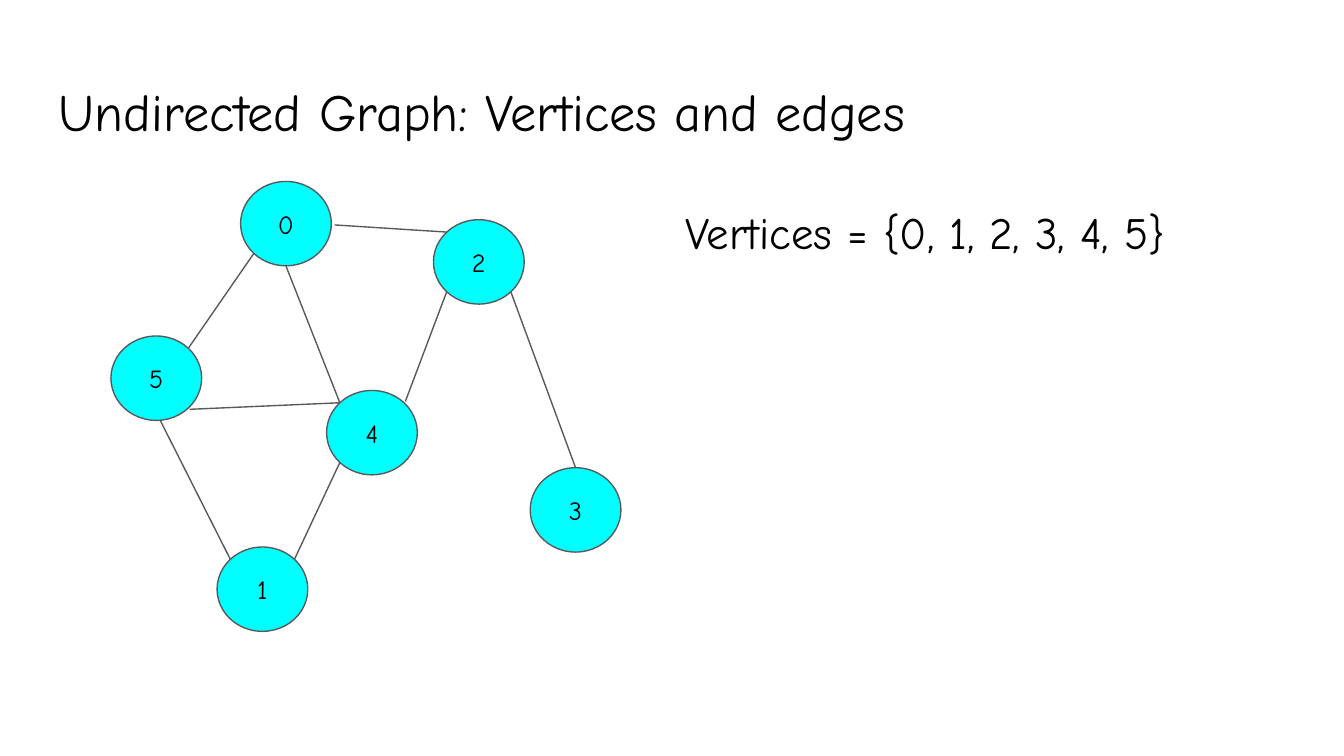
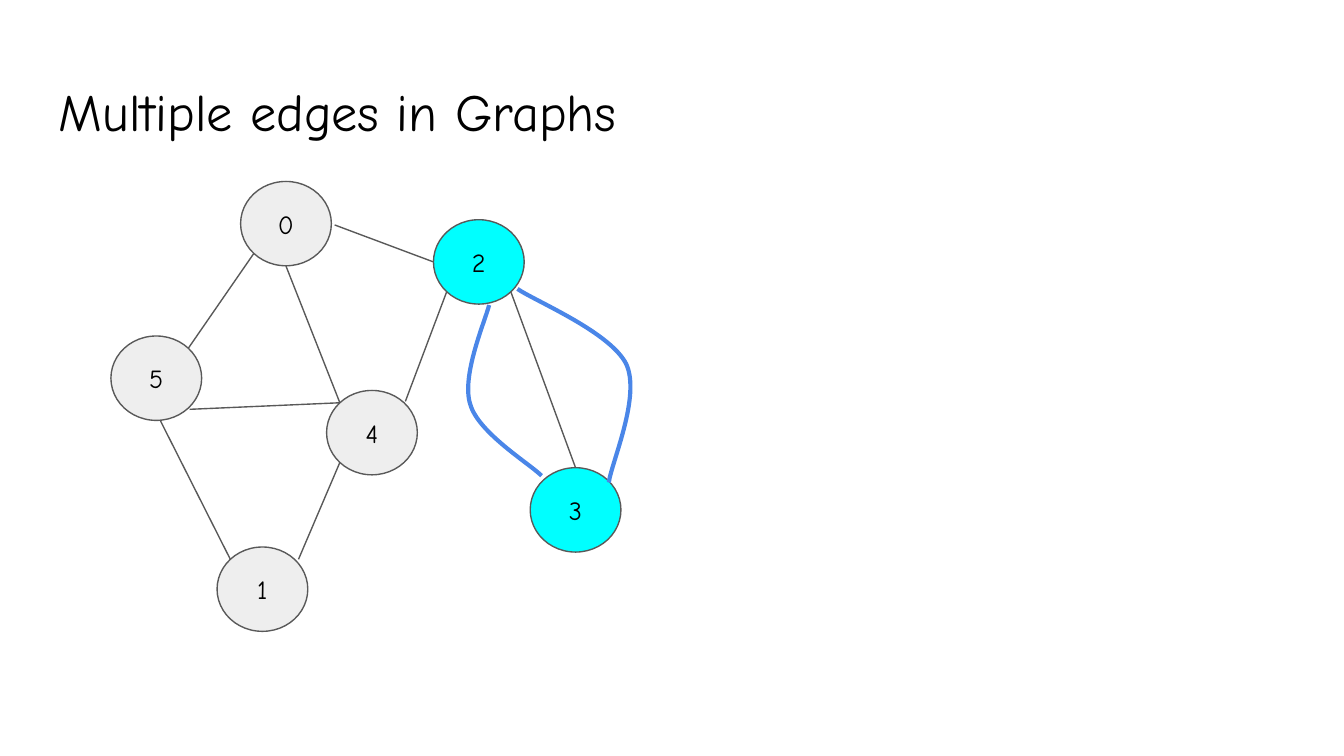
from dataclasses import dataclass
from enum import Enum

from lxml.etree import SubElement
from pptx import Presentation
from pptx.dml.color import RGBColor
from pptx.enum.shapes import MSO_CONNECTOR, MSO_SHAPE
from pptx.enum.text import MSO_ANCHOR, PP_ALIGN
from pptx.oxml.ns import qn
from pptx.util import Emu, Inches, Pt

WIDE, HIGH = Inches(10), Inches(5.625)
COLS = 100
CELL = WIDE / COLS
FONT = "Comic Neue"
BLACK, GRAY, PALE, CYAN, BLUE = "000000", "595959", "EEEEEE", "00FFFF", "4A86E8"
DISC_W, DISC_H = 6.75, 6.28
DIAG = 0.5 ** 0.5


class Site(Enum):
    TOP = (0, -1)
    LEFT = (-1, 0)
    RIGHT = (1, 0)
    BASE = (0, 1)
    NW = (-DIAG, -DIAG)
    NE = (DIAG, -DIAG)
    SW = (-DIAG, DIAG)
    SE = (DIAG, DIAG)


@dataclass(frozen=True)
class Node:
    col: float
    row: float

    def spot(self, site: Site) -> tuple[float, float]:
        x, y = site.value
        return (self.col + (1 + x) * DISC_W / 2, self.row + (1 + y) * DISC_H / 2)


@dataclass(frozen=True)
class Edge:
    tail: int
    start: Site
    head: int
    end: Site
    shift: tuple[float, float] = (0, 0)


@dataclass(frozen=True)
class Label:
    text: str
    box: tuple[float, float, float, float]
    size: int


NODES = {
    0: Node(17.9, 13.5),
    1: Node(16.15, 40.7),
    2: Node(32.25, 16.35),
    3: Node(39.45, 34.8),
    4: Node(24.3, 29.05),
    5: Node(8.25, 25),
}
EDGES = [
    Edge(5, Site.NE, 0, Site.SW),
    Edge(0, Site.BASE, 4, Site.NW),
    Edge(5, Site.SE, 4, Site.NW, (0.1, 0.1)),
    Edge(5, Site.BASE, 1, Site.NW, (0.3, 0)),
    Edge(4, Site.NE, 2, Site.SW, (0.1, -0.1)),
    Edge(2, Site.SE, 3, Site.TOP),
]
FIRST = EDGES + [
    Edge(0, Site.RIGHT, 2, Site.NW, (0.25, 0.1)),
    Edge(1, Site.NE, 4, Site.SW),
]
SECOND = EDGES + [
    Edge(0, Site.RIGHT, 2, Site.LEFT, (0.25, 0.1)),
    Edge(1, Site.NE, 4, Site.SW, (0.3, 0)),
]
ARCS = [
    [(38.5, 21.5), (39.8, 22.4), (45.4, 24.7), (46.6, 27.1),
     (47.7, 29.5), (45.5, 34.4), (45.3, 35.9)],
    [(36.4, 22.7), (36.1, 23.9), (34.3, 28), (35, 30.1),
     (35.6, 32.2), (39.4, 34.5), (40.3, 35.4)],
]


def grid(*cells: float) -> list[Emu]:
    return [Emu(round(cell * CELL)) for cell in cells]


def paint(part, tint: str) -> None:
    part.solid()
    part.fore_color.rgb = RGBColor.from_string(tint)


def stroke(line, tint: str, width: float) -> None:
    paint(line.fill, tint)
    line.width = Pt(width)


def write(frame, text: str, size: int, align: PP_ALIGN, anchor: MSO_ANCHOR) -> None:
    frame.word_wrap = True
    frame.vertical_anchor = anchor
    frame.margin_left = frame.margin_right = Inches(0.1)
    frame.margin_top = frame.margin_bottom = Inches(0.1)
    para = frame.paragraphs[0]
    para.text = text
    para.alignment = align
    para.font.name = FONT
    para.font.size = Pt(size)
    paint(para.font.fill, BLACK)


def label(slide, item: Label) -> None:
    box = slide.shapes.add_textbox(*grid(*item.box))
    write(box.text_frame, item.text, item.size, PP_ALIGN.LEFT, MSO_ANCHOR.TOP)


def disc(slide, key: int, tint: str) -> None:
    node = NODES[key]
    shape = slide.shapes.add_shape(
        MSO_SHAPE.FLOWCHART_CONNECTOR, *grid(node.col, node.row, DISC_W, DISC_H))
    shape.shadow.inherit = False
    paint(shape.fill, tint)
    stroke(shape.line, GRAY, 0.75)
    write(shape.text_frame, str(key), 14, PP_ALIGN.CENTER, MSO_ANCHOR.MIDDLE)


def link(slide, edge: Edge) -> None:
    x, y = NODES[edge.tail].spot(edge.start)
    dx, dy = edge.shift
    goal = NODES[edge.head].spot(edge.end)
    line = slide.shapes.add_connector(
        MSO_CONNECTOR.STRAIGHT, *grid(x + dx, y + dy, *goal))
    stroke(line.line, GRAY, 0.75)
    SubElement(line.element.spPr, qn("a:effectLst"))


def curve(slide, spots: list[tuple[float, float]]) -> None:
    first, *rest = [grid(*spot) for spot in spots]
    pen = slide.shapes.build_freeform(*first)
    pen.add_line_segments(rest, close=False)
    shape = pen.convert_to_shape()
    shape.shadow.inherit = False
    shape.fill.background()
    stroke(shape.line, BLUE, 2.25)
    track = next(shape.element.iter(qn("a:path")))
    steps = track.findall(qn("a:lnTo"))
    for at in range(0, len(steps), 3):
        bend = SubElement(track, qn("a:cubicBezTo"))
        for step in steps[at:at + 3]:
            bend.append(step[0])
            track.remove(step)


def graph(deck, title: str, edges: list[Edge], lit: set[int]):
    slide = deck.slides.add_slide(deck.slide_layouts[6])
    label(slide, Label(title, (3.4, 4.9, 93.2, 6.3), 28))
    for key in NODES:
        disc(slide, key, CYAN if key in lit else PALE)
    for edge in edges:
        link(slide, edge)
    return slide


def main() -> None:
    deck = Presentation()
    deck.slide_width, deck.slide_height = WIDE, HIGH
    slide = graph(deck, "Undirected Graph: Vertices and edges", FIRST, set(NODES))
    label(slide, Label("Vertices = {0, 1, 2, 3, 4, 5}", (50, 14.2, 44.2, 6), 24))
    slide = graph(deck, "Multiple edges in Graphs", SECOND, {2, 3})
    for arc in ARCS:
        curve(slide, arc)
    deck.save("out.pptx")


main()
